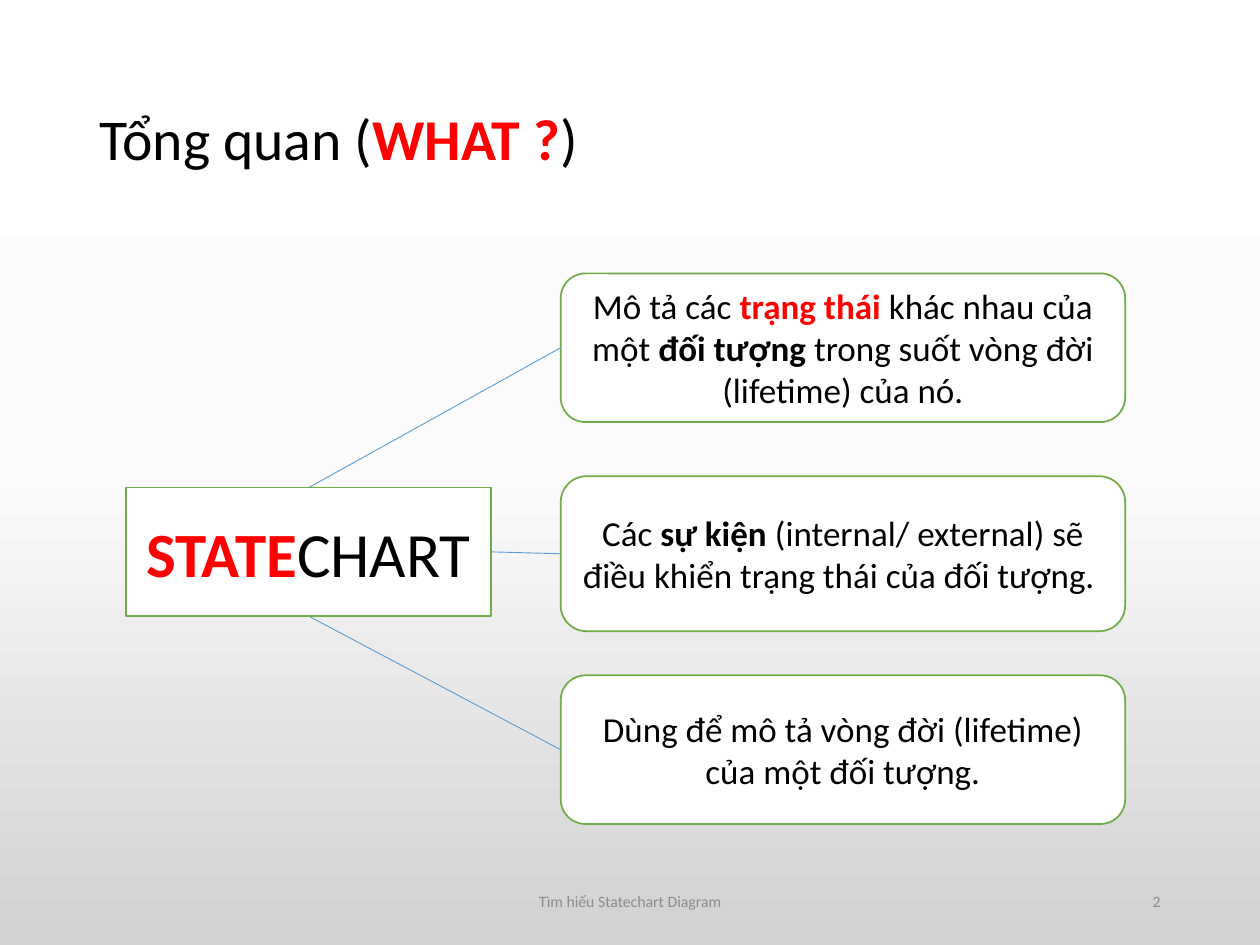
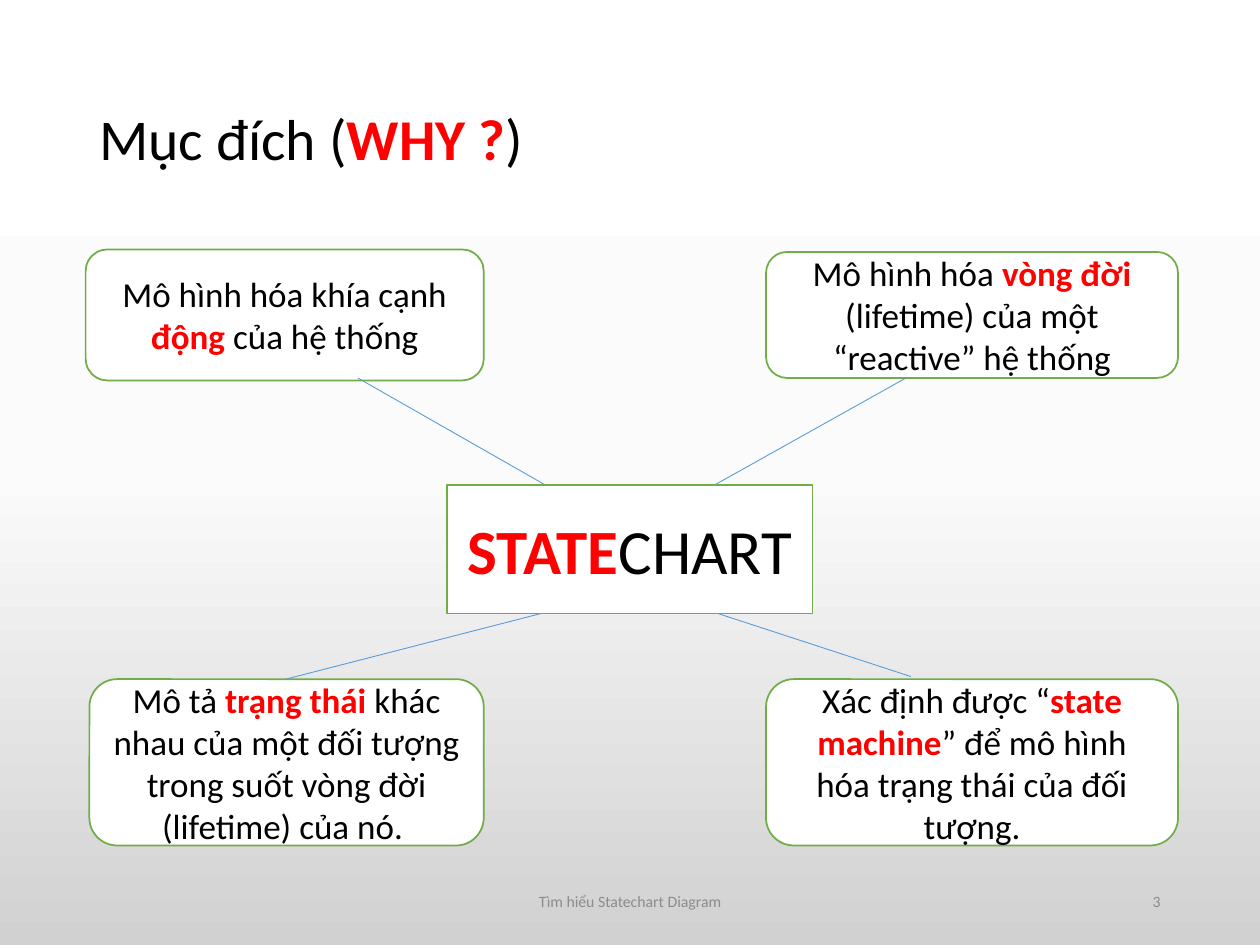
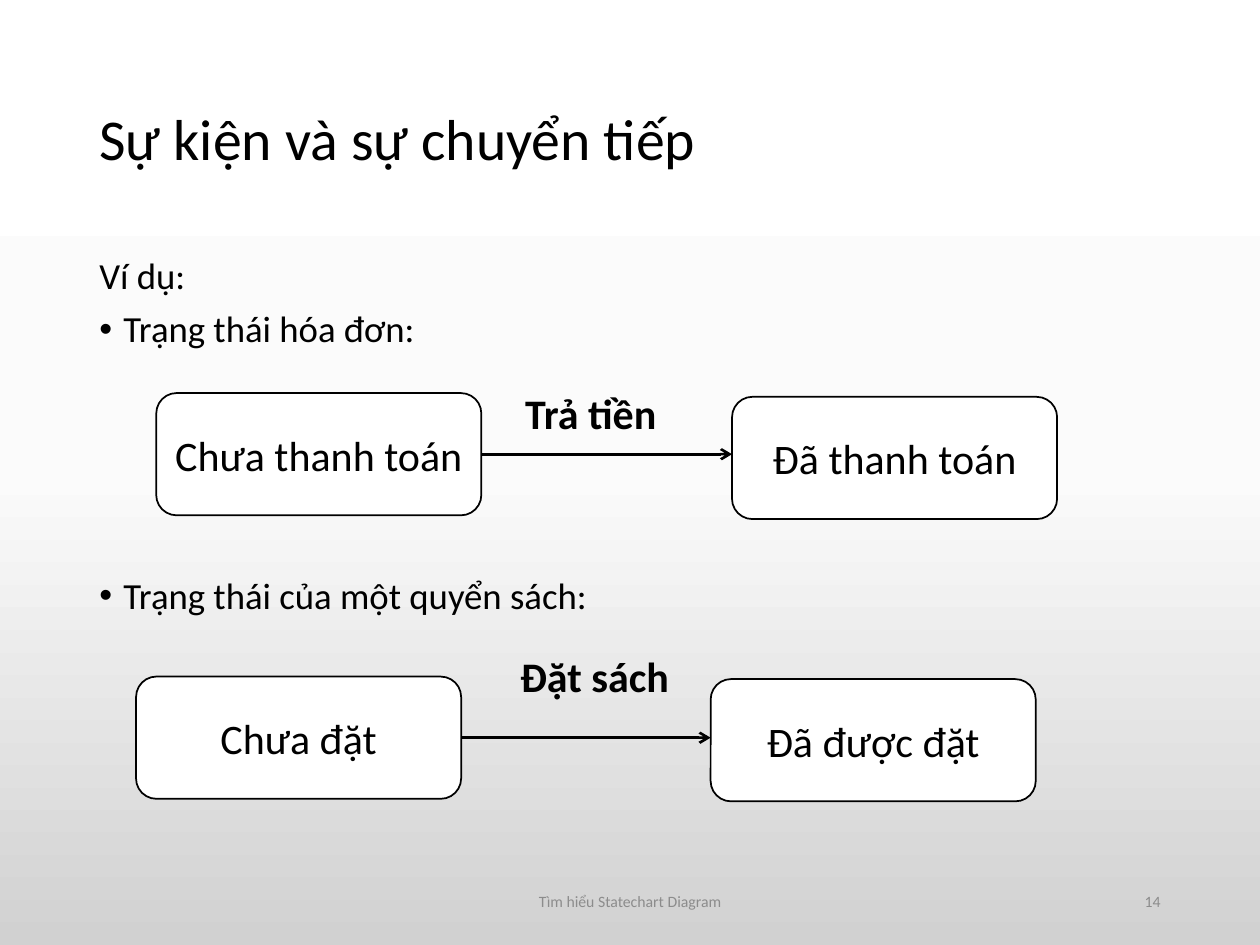
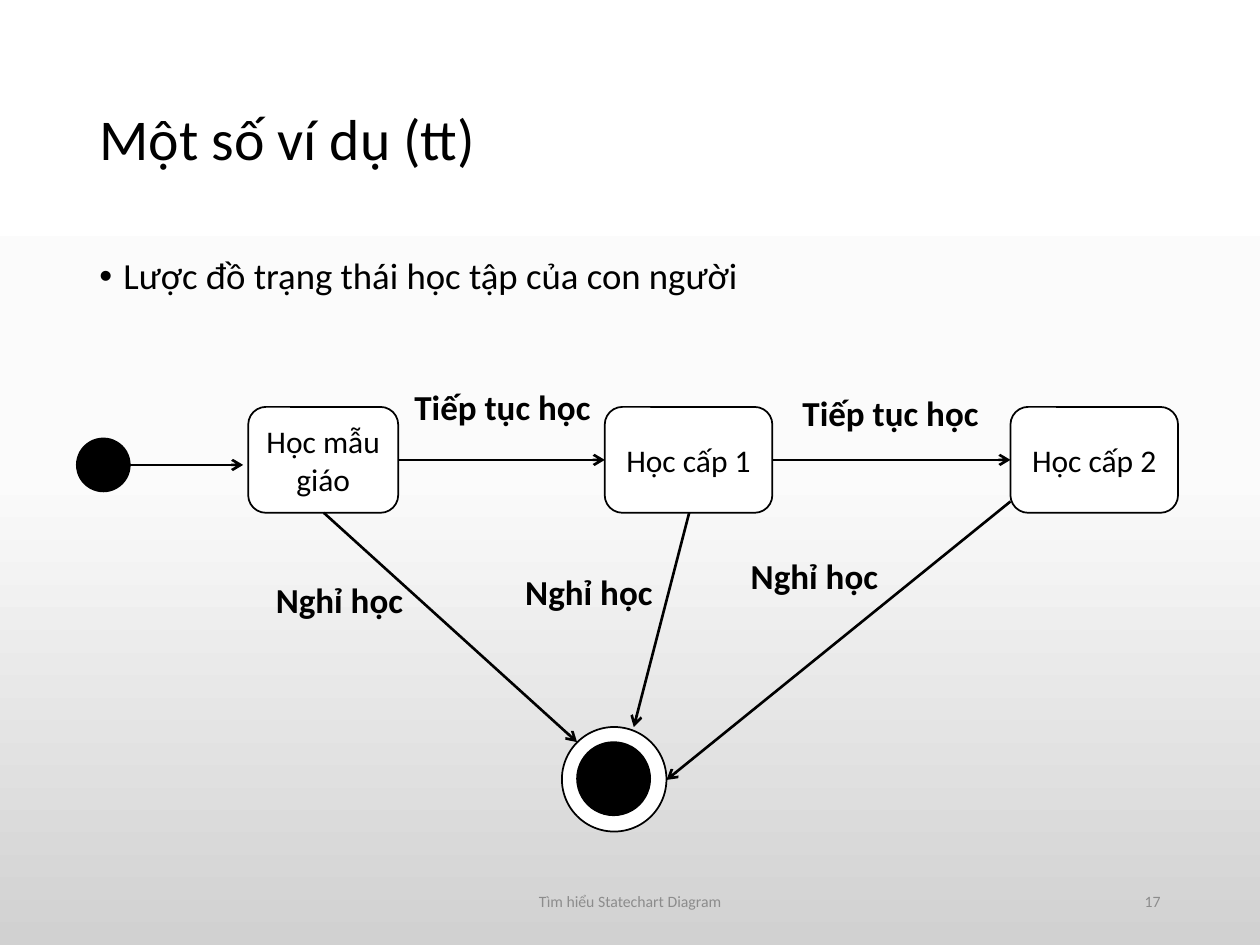
from copy import deepcopy

from lxml.etree import SubElement
from pptx import Presentation
from pptx.dml.color import RGBColor
from pptx.enum.shapes import MSO_CONNECTOR, MSO_SHAPE as SHAPE
from pptx.enum.text import MSO_ANCHOR as ANCHOR, MSO_AUTO_SIZE as AUTO, PP_ALIGN as ALIGN
from pptx.oxml.ns import qn
from pptx.util import Inches, Pt

# ---- shared style ----
FONT = "Calibri"
BLACK, WHITE, RED, GRAY = "000000", "FFFFFF", "FF0000", "8C8C8C"
GREEN, BLUE = "70AD47", "5B9BD5"
BACKDROP = [(0, WHITE), (0.5, "FBFBFB"), (1, "D1D1D1")]
TITLE_AT = (0.69, 0.4, 8.62, 1.45)
BODY_AT = (0.69, 2, 8.62, 4.76)
FOOTER_AT = (3.31, 6.95, 3.38, 0.4)
NUMBER_AT = (7.06, 6.95, 2.25, 0.4)
FOOTER = "Tìm hiểu Statechart Diagram"
INDENT = 0.19
BODY_GAP = 7.5       # points before each body paragraph
DIAGRAM_GAP = 129.5  # points that leave room for a diagram between bullets

# ---- content: a text is a list of (words, style) runs ----
PLAIN, BOLD, KEY = "plain", "bold", "key"
HUB_TEXT = [("STATE", KEY), ("CHART", PLAIN)]
HUB_SIZE = (2.9, 1.02)

WHAT_TITLE = [("Tổng quan (", PLAIN), ("WHAT ?", KEY), (")", PLAIN)]
WHAT_HUB = (1, 3.87)
WHAT_LEFT, WHAT_WIDTH = 4.45, 4.48
WHAT_CARDS = [  # top, height, side of the hub it hangs on, text
    (2.17, 1.18, "top", [("Mô tả các ", PLAIN), ("trạng thái", KEY),
                         (" khác nhau của một ", PLAIN), ("đối tượng", BOLD),
                         (" trong suốt vòng đời (lifetime) của nó.", PLAIN)]),
    (3.78, 1.23, "right", [("Các ", PLAIN), ("sự kiện ", BOLD),
                           ("(internal/ external) sẽ điều khiển trạng thái của đối tượng. ",
                            PLAIN)]),
    (5.36, 1.18, "bottom", [("Dùng để mô tả vòng đời (lifetime) của một đối tượng.", PLAIN)]),
]

WHY_TITLE = [("Mục đích (", PLAIN), ("WHY ?", KEY), (")", PLAIN)]
WHY_HUB = (3.55, 3.85)
WHY_CARDS = [  # place, outer end of the line, inner end, text
    ((6.08, 2, 3.27, 1), (7.19, 3), (5.67, 3.85),
     [("Mô hình hóa ", PLAIN), ("vòng đời ", KEY),
      ("(lifetime) của một “reactive” hệ thống", PLAIN)]),
    ((0.68, 1.98, 3.16, 1.04), (2.84, 3), (4.33, 3.85),
     [("Mô hình hóa khía cạnh ", PLAIN), ("động", KEY), (" của hệ thống", PLAIN)]),
    ((6.08, 5.39, 3.27, 1.32), (7.23, 5.37), (5.67, 4.86),
     [("Xác định được “", PLAIN), ("state machine", KEY),
      ("” để mô hình hóa trạng thái của đối tượng.", PLAIN)]),
    ((0.71, 5.39, 3.13, 1.32), (2.27, 5.39), (4.33, 4.86),
     [("Mô tả ", PLAIN), ("trạng thái", KEY),
      (" khác nhau của một đối tượng trong suốt vòng đời (lifetime) của nó. ", PLAIN)]),
]

EVENT_TITLE = "Sự kiện và sự chuyển tiếp"
EVENT_BODY = [  # text, bulleted, points before
    ("Ví dụ:", False, BODY_GAP),
    ("Trạng thái hóa đơn:", True, BODY_GAP),
    ("Trạng thái của một quyển sách:", True, DIAGRAM_GAP),
]
EVENT_STATE_SIZE = (2.58, 0.97)
TRANSITIONS = [  # (state, left, top) before and after, (event, place)
    (("Chưa thanh toán", 1.24, 3.12), ("Đã thanh toán", 5.81, 3.15),
     ("Trả tiền", (4.07, 3.03, 1.26, 0.5))),
    (("Chưa đặt", 1.08, 5.37), ("Đã được đặt", 5.64, 5.39),
     ("Đặt sách", (4.03, 5.11, 1.4, 0.5))),
]

SCHOOL_TITLE = "Một số ví dụ (tt)"
SCHOOL_BODY = [("Lược đồ trạng thái học tập của con người", True, BODY_GAP)]
SCHOOL_TOP, SCHOOL_HEIGHT = 3.23, 0.84
SCHOOLS = [("Học mẫu giáo", 1.97, 1.19), ("Học cấp 1", 4.8, 1.33), ("Học cấp 2", 8.02, 1.33)]
NEXT_LABEL, NEXT_SIZE, NEXT_SPOTS = "Tiếp tục học", (1.61, 0.44), [(3.19, 3.01), (6.27, 3.06)]
QUIT_LABEL, QUIT_SIZE = "Nghỉ học", (1.22, 0.44)
QUIT_SPOTS = [(2.09, 4.54), (4.07, 4.48), (5.86, 4.35)]
DOTS = [((0.61, 3.48), 0.42, BLACK), ((4.46, 5.77), 0.83, WHITE), ((4.58, 5.89), 0.58, BLACK)]
START_ARROW = ((0.95, 3.69), (1.93, 3.69))
QUIT_ARROWS = [((2.57, 4.07), (4.58, 5.89)), ((5.47, 4.07), (5.03, 5.77)),
               ((8.02, 3.98), (5.29, 6.19))]


def color(value):
    """Turn a hex string into a colour."""
    return RGBColor.from_string(value)


def side(place, name):
    """Return the middle of one side of a place."""
    left, top, width, height = place
    across, down = {"left": (0, 0.5), "right": (1, 0.5),
                    "top": (0.5, 0), "bottom": (0.5, 1)}[name]
    return left + width * across, top + height * down


def write(para, text, size, ink=BLACK, bold=False, align=ALIGN.LEFT):
    """Fill a paragraph with a string or with styled runs."""
    para.alignment = align
    para.font.name, para.font.size, para.font.bold = FONT, Pt(size), bold
    para.font.color.rgb = color(ink)
    for words, style in ([(text, PLAIN)] if isinstance(text, str) else text):
        span = para.add_run()
        span.text = words
        if style != PLAIN:
            span.font.bold = True
        if style == KEY:
            span.font.color.rgb = color(RED)


def add_text(page, place, text, size, anchor=ANCHOR.MIDDLE, **look):
    """Add a wrapping text box and return its frame."""
    frame = page.shapes.add_textbox(*map(Inches, place)).text_frame
    frame.word_wrap = True
    frame.vertical_anchor = anchor
    write(frame.paragraphs[0], text, size, **look)
    return frame


def add_label(page, place, text, size):
    """Add a bold label that does not wrap."""
    frame = add_text(page, place, text, size, ANCHOR.TOP, bold=True)
    frame.word_wrap = False
    frame.auto_size = AUTO.SHAPE_TO_FIT_TEXT


def add_box(page, kind, place, text="", size=20, fill=WHITE, line=BLACK):
    """Add an outlined shape with centred text."""
    box = page.shapes.add_shape(kind, *map(Inches, place))
    box.shadow.inherit = False
    box.fill.solid()
    box.fill.fore_color.rgb = color(fill)
    box.line.color.rgb = color(line)
    box.line.width = Pt(1)
    if text:
        box.text_frame.vertical_anchor = ANCHOR.MIDDLE
        write(box.text_frame.paragraphs[0], text, size, align=ALIGN.CENTER)


def add_line(page, start, end, ink=BLUE, width=0.5, arrow=False):
    """Add a straight connector, with an open arrowhead if asked."""
    line = page.shapes.add_connector(MSO_CONNECTOR.STRAIGHT, *map(Inches, start + end))
    line.line.color.rgb = color(ink)
    line.line.width = Pt(width)
    if arrow:
        SubElement(line.line._get_or_add_ln(), qn("a:tailEnd"), type="arrow")
    SubElement(line.element.spPr, qn("a:effectLst"))


def add_arrow(page, start, end):
    """Add a black transition arrow."""
    add_line(page, start, end, BLACK, 1.5, True)


def add_hub(page, corner):
    """Add the central STATECHART box."""
    add_box(page, SHAPE.RECTANGLE, corner + HUB_SIZE, HUB_TEXT, 36, line=GREEN)


def add_body(page, items):
    """Add the body text with its optional bullets."""
    frame = page.shapes.add_textbox(*map(Inches, BODY_AT)).text_frame
    frame.word_wrap = True
    for index, (text, bulleted, gap) in enumerate(items):
        para = frame.add_paragraph() if index else frame.paragraphs[0]
        write(para, text, 21)
        para.line_spacing, para.space_before = 0.9, Pt(gap)
        if bulleted:
            props = para._p.get_or_add_pPr()
            props.set("marL", str(Inches(INDENT)))
            props.set("indent", str(-Inches(INDENT)))
            bullet_font = props.makeelement(qn("a:buFont"), {"typeface": "Arial"})
            bullet = props.makeelement(qn("a:buChar"), {"char": "•"})
            for part in (bullet_font, bullet):
                props.find(qn("a:defRPr")).addprevious(part)


def set_backdrop(master):
    """Give every slide the grey gradient."""
    fill = master.background.fill
    fill.gradient()
    fill.gradient_angle = 270
    stops = next(master.element.iter(qn("a:gsLst")))
    stops.append(deepcopy(stops[0]))
    for stop, (position, value) in zip(fill.gradient_stops, BACKDROP):
        stop.position = position
        stop.color.rgb = color(value)


def add_page(deck, title, number):
    """Add a slide with title, footer and number."""
    page = deck.slides.add_slide(deck.slide_layouts[6])
    add_text(page, TITLE_AT, title, 33).paragraphs[0].line_spacing = 0.9
    add_text(page, FOOTER_AT, FOOTER, 9, ink=GRAY, align=ALIGN.CENTER)
    add_text(page, NUMBER_AT, str(number), 9, ink=GRAY, align=ALIGN.RIGHT)
    return page


def build_what(deck):
    """Build the overview: a hub with three cards."""
    page = add_page(deck, WHAT_TITLE, 2)
    for top, height, hub_side, text in WHAT_CARDS:
        place = (WHAT_LEFT, top, WHAT_WIDTH, height)
        add_box(page, SHAPE.ROUNDED_RECTANGLE, place, text, line=GREEN)
        add_line(page, side(place, "left"), side(WHAT_HUB + HUB_SIZE, hub_side))
    add_hub(page, WHAT_HUB)


def build_why(deck):
    """Build the purposes: a hub with four cards around it."""
    page = add_page(deck, WHY_TITLE, 3)
    for place, outer, inner, text in WHY_CARDS:
        add_box(page, SHAPE.ROUNDED_RECTANGLE, place, text, line=GREEN)
        add_line(page, outer, inner)
    add_hub(page, WHY_HUB)


def build_events(deck):
    """Build two examples of a transition between two states."""
    page = add_page(deck, EVENT_TITLE, 14)
    add_body(page, EVENT_BODY)
    for before, after, (event, spot) in TRANSITIONS:
        for name, left, top in (before, after):
            add_box(page, SHAPE.ROUNDED_RECTANGLE, (left, top) + EVENT_STATE_SIZE, name, 24)
        start = side(before[1:] + EVENT_STATE_SIZE, "right")
        add_arrow(page, start, (after[1], start[1]))
        add_label(page, spot, event, 24)


def build_school(deck):
    """Build the state diagram of a person's schooling."""
    page = add_page(deck, SCHOOL_TITLE, 17)
    add_body(page, SCHOOL_BODY)
    places = [(left, SCHOOL_TOP, width, SCHOOL_HEIGHT) for _, left, width in SCHOOLS]
    for (name, _, _), place in zip(SCHOOLS, places):
        add_box(page, SHAPE.ROUNDED_RECTANGLE, place, name, 18)
    for corner, size, fill in DOTS:
        add_box(page, SHAPE.OVAL, corner + (size, size), fill=fill)
    steps = [(side(a, "right"), side(b, "left")) for a, b in zip(places, places[1:])]
    for start, end in [START_ARROW] + steps + QUIT_ARROWS:
        add_arrow(page, start, end)
    for text, size, spots in ((NEXT_LABEL, NEXT_SIZE, NEXT_SPOTS),
                              (QUIT_LABEL, QUIT_SIZE, QUIT_SPOTS)):
        for spot in spots:
            add_label(page, spot + size, text, 20)


deck = Presentation()
deck.slide_width, deck.slide_height = Inches(10), Inches(7.5)
set_backdrop(deck.slide_master)
for build in (build_what, build_why, build_events, build_school):
    build(deck)
deck.save("out.pptx")
